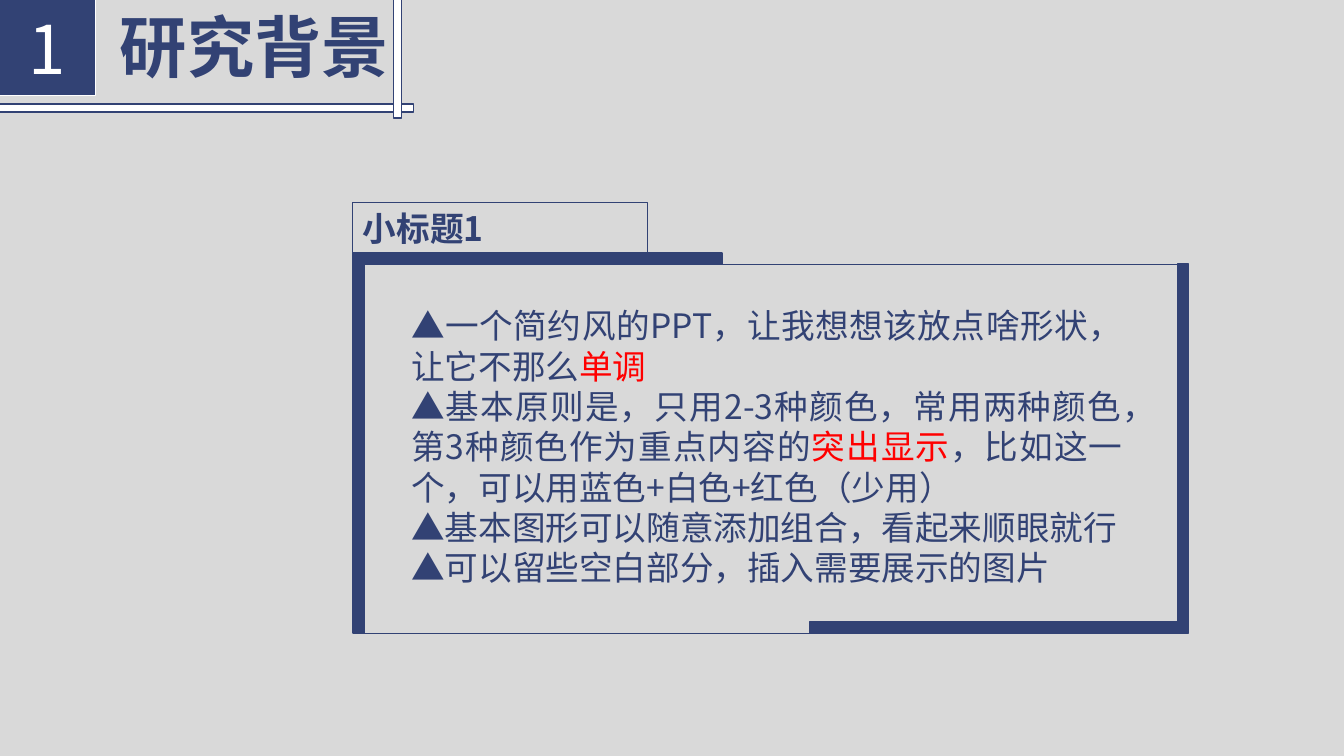
from lxml.etree import SubElement
from pptx import Presentation
from pptx.dml.color import RGBColor
from pptx.enum.shapes import MSO_CONNECTOR, MSO_SHAPE
from pptx.enum.text import MSO_ANCHOR, PP_ALIGN
from pptx.oxml.ns import qn
from pptx.util import Inches, Pt

NAVY, WHITE, RED, GREY = "324274", "FFFFFF", "FF0000", "D9D9D9"


def rgb(value):
    return RGBColor.from_string(value)


class SlideBuilder:
    font = "Noto Sans CJK SC"

    def __init__(self, slide):
        self.s = slide
        slide.background.fill.solid()
        slide.background.fill.fore_color.rgb = rgb(GREY)

    def rect(self, x, y, w, h, fill=None, line=NAVY, weight=1):
        sp = self.s.shapes.add_shape(
            MSO_SHAPE.RECTANGLE, Inches(x), Inches(y), Inches(w), Inches(h))
        sp.shadow.inherit = False
        if fill:
            sp.fill.solid()
            sp.fill.fore_color.rgb = rgb(fill)
        else:
            sp.fill.background()
        sp.line.color.rgb = rgb(line)
        sp.line.width = Pt(weight)
        return sp

    def textbox(self, x, y, w, h):
        return self.s.shapes.add_textbox(Inches(x), Inches(y), Inches(w), Inches(h))

    def text(self, sp, paragraphs, size, bold=False, align=PP_ALIGN.LEFT,
             anchor=MSO_ANCHOR.TOP):
        tf = sp.text_frame
        tf.word_wrap = True
        tf.vertical_anchor = anchor
        for i, runs in enumerate(paragraphs):
            p = tf.add_paragraph() if i else tf.paragraphs[0]
            p.alignment = align
            for words, color in runs:
                r = p.add_run()
                r.text = words
                r.font.size = Pt(size)
                r.font.bold = bold
                r.font.name = self.font
                r.font.color.rgb = rgb(color)
                SubElement(r.font._element, qn("a:ea"), typeface=self.font)

    def line(self, x1, x2, y):
        c = self.s.shapes.add_connector(
            MSO_CONNECTOR.STRAIGHT, Inches(x1), Inches(y), Inches(x2), Inches(y))
        c.line.color.rgb = rgb(NAVY)
        c.line.width = Pt(0.5)
        SubElement(c._element.spPr, qn("a:effectLst"))
        return c


def main():
    prs = Presentation()
    prs.slide_width, prs.slide_height = Inches(13.33), Inches(7.5)
    b = SlideBuilder(prs.slides.add_slide(prs.slide_layouts[6]))

    number = b.rect(-0.01, -0.01, 0.96, 0.96, NAVY, WHITE)
    b.text(number, [[("1", WHITE)]], 48, align=PP_ALIGN.CENTER,
           anchor=MSO_ANCHOR.MIDDLE)
    b.text(b.textbox(1.09, 0, 4.28, 0.91), [[("研究背景", NAVY)]], 48, bold=True)
    b.rect(-0.01, 1.03, 4.11, 0.08, WHITE)
    b.rect(3.9, -0.03, 0.08, 1.2, WHITE)

    body = [
        [("▲一个简约风的PPT，让我想想该放点啥形状，让它不那么", NAVY), ("单调", RED)],
        [("▲基本原则是，只用2-3种颜色，常用两种颜色，第3种颜色作为重点内容的", NAVY),
         ("突出显示", RED),
         ("，比如这一个，可以用蓝色+白色+红色（少用）", NAVY)],
        [("▲基本图形可以随意添加组合，看起来顺眼就行", NAVY)],
        [("▲可以留些空白部分，插入需要展示的图片", NAVY)],
    ]
    b.text(b.textbox(3.98, 2.98, 7.25, 2.93), body, 24, align=PP_ALIGN.JUSTIFY)

    left, right, top, bottom = 3.5, 11.68, 2.62, 6.28
    bar, length = 0.11, bottom - top
    left_bar = b.rect(left, top, bar, length, NAVY)
    b.rect(right, top, bar, length, NAVY)
    b.rect(left, top - bar, length, bar, NAVY)
    b.rect(right + 0.01 - length, bottom - bar, length, bar, NAVY)
    b.line(left + bar / 2, 8.19, bottom).begin_connect(left_bar, 2)
    b.line(7.04, right, top)

    label = b.rect(left, 2.01, 2.92, 0.5, weight=0.75)
    b.text(label, [[("小标题1", NAVY)]], 24, bold=True)

    prs.save("out.pptx")


if __name__ == "__main__":
    main()
